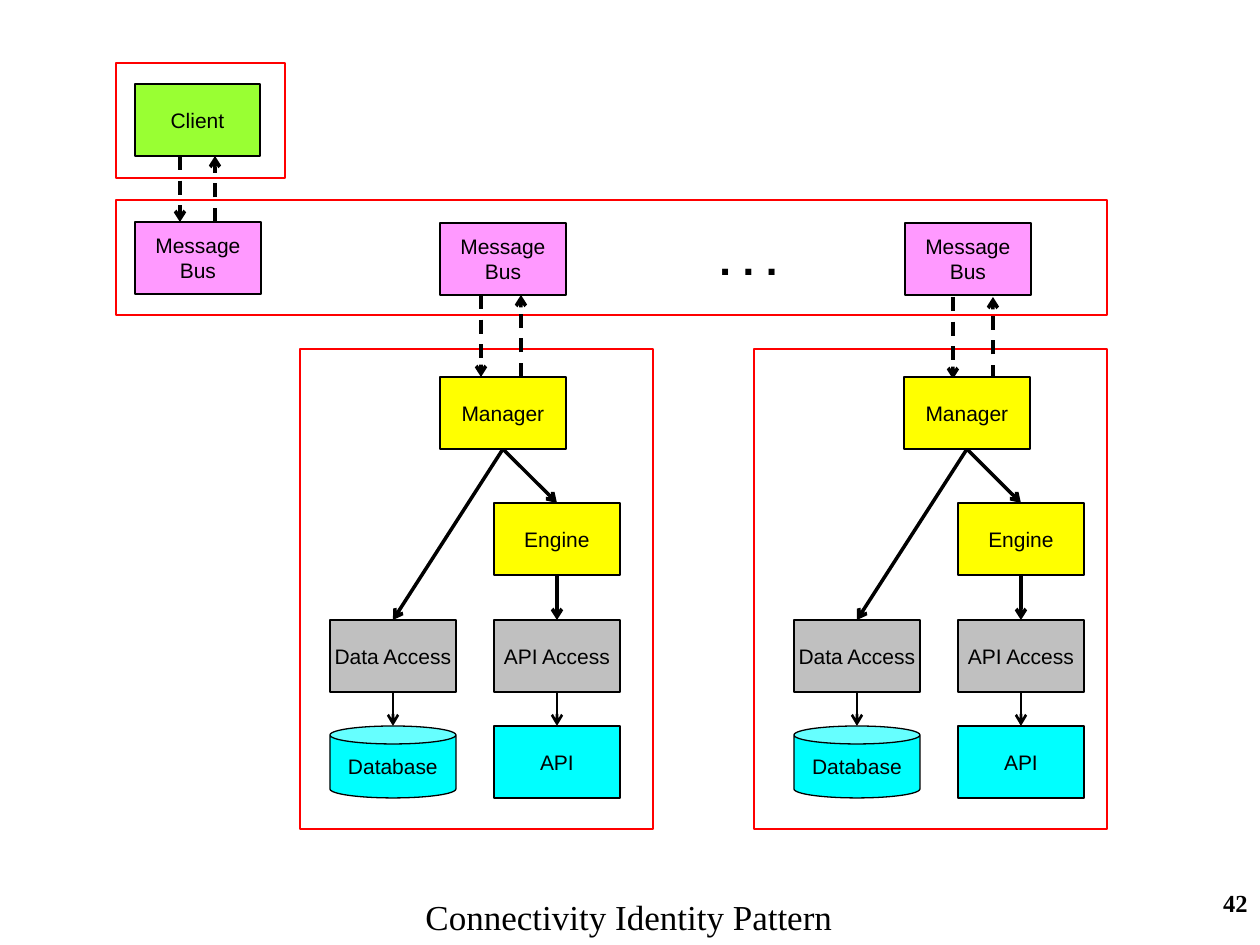
from lxml import etree
from pptx import Presentation
from pptx.dml.color import RGBColor
from pptx.enum import dml, shapes, text
from pptx.oxml.ns import qn
from pptx.util import Pt

PX = 914400 // 126
COLORS = dict(black="000000", red="FF0000", green="99FF33", pink="FF99FF",
              yellow="FFFF00", gray="C0C0C0", cyan="00FFFF")
RECT, CAN = shapes.MSO_SHAPE.RECTANGLE, shapes.MSO_SHAPE.CAN
LEFT, CENTER, RIGHT = (text.PP_ALIGN.LEFT, text.PP_ALIGN.CENTER,
                       text.PP_ALIGN.RIGHT)
BOX_W, BOX_H = 126, 72
SERVICE_STEP = 464

# Content: left, top, width, height
FRAMES = [(116, 63, 169, 115), (116, 200, 991, 115),
          (300, 349, 353, 480), (754, 349, 353, 480)]
# Label, left, top, colour
BUS_BOXES = [("Client", 135, 84, "green"), ("Message\nBus", 135, 222, "pink"),
             ("Message\nBus", 440, 223, "pink"),
             ("Message\nBus", 905, 223, "pink")]
SERVICE_BOXES = [("Manager", 440, 377, "yellow"), ("Engine", 494, 503, "yellow"),
                 ("Data Access", 330, 620, "gray"),
                 ("API Access", 494, 620, "gray"),
                 ("Database", 330, 726, "cyan"), ("API", 494, 726, "cyan")]
# From x, y, to x, y, line width
SERVICE_ARROWS = [(503, 449, 557, 503, 2), (503, 449, 393, 620, 2),
                  (557, 575, 557, 620, 2), (393, 692, 393, 726, 1.5),
                  (557, 692, 557, 726, 1.5)]
# Request x, reply x, top, bottom
EXCHANGES = [(180, 215, 156, 222), (481, 521, 295, 377), (953, 993, 297, 379)]
# Wording, left, top, width, height, size, font, bold, alignment
LABELS = [
    (". . .", 707, 227, 93, 63, 24, "Arial", True, LEFT),
    ("Connectivity Identity Pattern", 399, 889, 460, 56, 20,
     "Times New Roman", False, CENTER),
    ("42", 998, 882, 262, 63, 14, "Times New Roman", True, RIGHT)]

prs = Presentation()
prs.slide_width, prs.slide_height = 1260 * PX, 945 * PX
s = prs.slides.add_slide(prs.slide_layouts[6])


def rgb(name):
    return RGBColor.from_string(COLORS[name])


def emu(*pixels):
    return [round(v * PX) for v in pixels]


def write(tf, words, size, font, bold=False, align=CENTER):
    tf.text = words
    for p in tf.paragraphs:
        p.alignment = align
        p.font.size, p.font.name, p.font.bold = Pt(size), font, bold
        p.font.color.rgb = rgb("black")


def add_shape(kind, place, fill, line, width):
    sp = s.shapes.add_shape(kind, *emu(*place))
    sp.shadow.inherit = False
    if fill:
        sp.fill.solid()
        sp.fill.fore_color.rgb = rgb(fill)
    else:
        sp.fill.background()
    sp.line.color.rgb = rgb(line)
    sp.line.width = Pt(width)
    return sp


def add_box(label, x, y, fill):
    width = 125 if label == "Client" else BOX_W
    kind = CAN if label == "Database" else RECT
    sp = add_shape(kind, (x, y, width, BOX_H), fill, "black", 0.75)
    tf = sp.text_frame
    tf.word_wrap = False
    tf.vertical_anchor = text.MSO_ANCHOR.MIDDLE
    write(tf, label, 12, "Arial")


def add_arrow(x1, y1, x2, y2, width=2, dashed=False):
    c = s.shapes.add_connector(shapes.MSO_CONNECTOR.STRAIGHT,
                               *emu(x1, y1, x2, y2))
    c.line.color.rgb = rgb("black")
    c.line.width = Pt(width)
    if dashed:
        c.line.dash_style = dml.MSO_LINE.DASH
    etree.SubElement(c.line._get_or_add_ln(), qn("a:tailEnd"), type="arrow")
    etree.SubElement(c._element.spPr, qn("a:effectLst"))


# Red process boundaries
for frame in FRAMES:
    add_shape(RECT, frame, None, "red", 1.5)

# Request and reply pairs
for request_x, reply_x, top, bottom in EXCHANGES:
    add_arrow(request_x, top, request_x, bottom, dashed=True)
    add_arrow(reply_x, bottom, reply_x, top, dashed=True)

# Client and message bus
for box in BUS_BOXES:
    add_box(*box)

# Two identical services
for dx in (0, SERVICE_STEP):
    for x1, y1, x2, y2, width in SERVICE_ARROWS:
        add_arrow(x1 + dx, y1, x2 + dx, y2, width)
    for label, x, y, fill in SERVICE_BOXES:
        add_box(label, x + dx, y, fill)

# Ellipsis, title and page number
for words, x, y, w, h, size, font, bold, align in LABELS:
    tf = s.shapes.add_textbox(*emu(x, y, w, h)).text_frame
    tf.word_wrap = True
    write(tf, words, size, font, bold, align)

prs.save("out.pptx")
